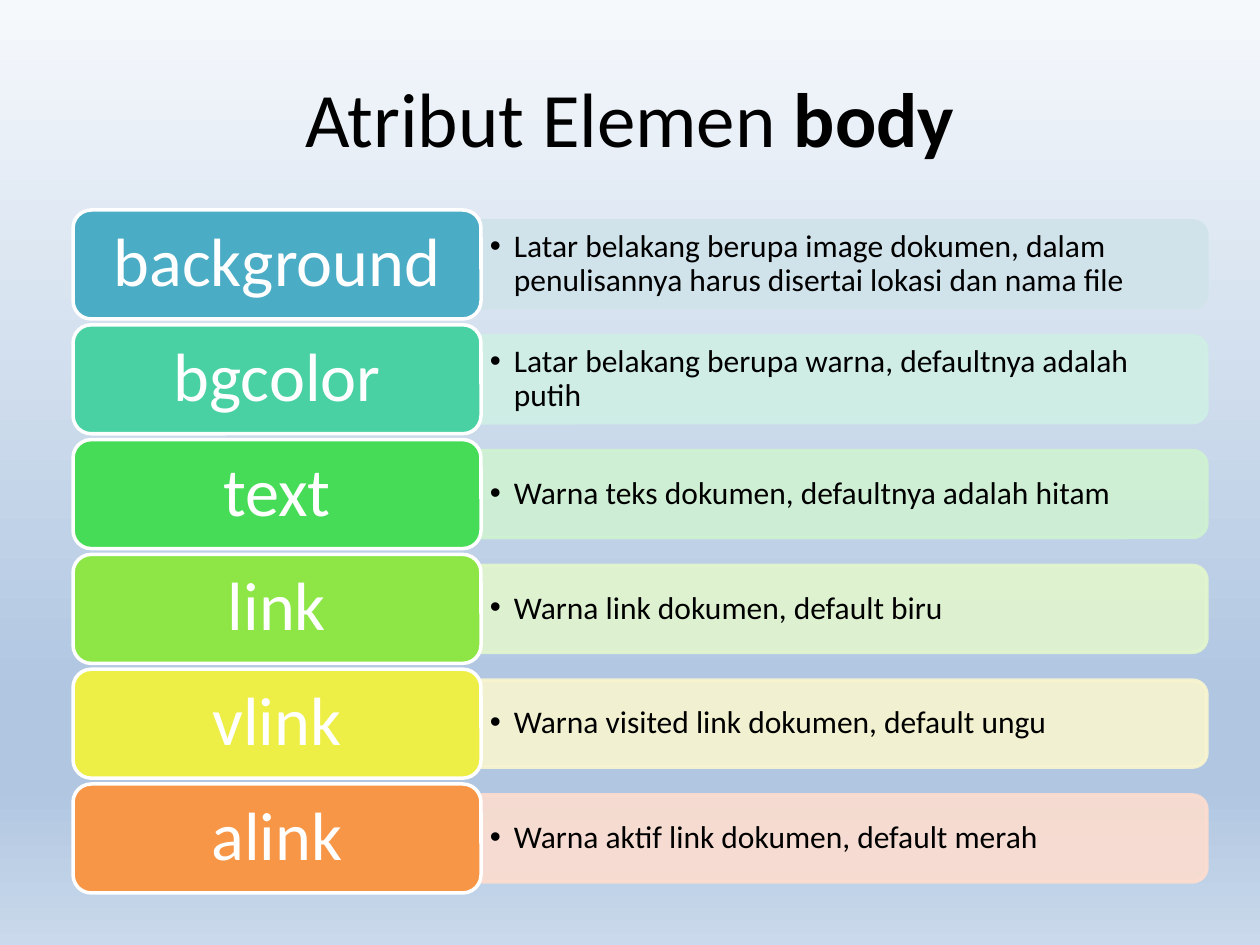
import pptx
import pptx.util
import pptx.dml.color
import pptx.enum.shapes
import pptx.enum.text
import pptx.oxml
import pptx.oxml.ns
from dataclasses import dataclass

PX = 914400 // 126
SHAPES = pptx.enum.shapes.MSO_SHAPE
ALIGN = pptx.enum.text.PP_ALIGN
MIDDLE = pptx.enum.text.MSO_ANCHOR.MIDDLE
qn = pptx.oxml.ns.qn


@dataclass(frozen=True)
class Theme:
    font: str = "Calibri"
    title_size: int = 44
    label_size: int = 39
    description_size: int = 18
    dark: str = "000000"
    light: str = "FFFFFF"
    border: int = 2
    panel_opacity: int = 90
    backdrop: tuple = ((0, "F6F9FC"), (74, "B0C6E1"), (83, "B0C6E1"), (100, "CAD9EB"))


THEME = Theme()

# attribute, description, label colour, panel colour
ATTRIBUTES = [
    ("background", "Latar belakang berupa image dokumen, dalam penulisannya "
     "harus disertai lokasi dan nama file", "4BACC6", "D0E3EA"),
    ("bgcolor", "Latar belakang berupa warna, defaultnya adalah putih", "49D1A3", "CFEFE5"),
    ("text", "Warna teks dokumen, defaultnya adalah hitam", "47DC57", "CFF2D2"),
    ("link", "Warna link dokumen, default biru", "8DE646", "E2F6CE"),
    ("vlink", "Warna visited link dokumen, default ungu", "EEEF46", "F9F5CF"),
    ("alink", "Warna aktif link dokumen, default merah", "F79646", "FCDDCF"),
]

LABEL_LEFT, LABEL_WIDTH, LABEL_HEIGHT = 73, 408, 109
PANEL_LEFT, PANEL_WIDTH, PANEL_HEIGHT = LABEL_LEFT + LABEL_WIDTH, 726, 87
FIRST_TOP, LAST_TOP = 210, 784


def px(*lengths):
    return [pptx.util.Emu(round(length * PX)) for length in lengths]


def rgb(value):
    return pptx.dml.color.RGBColor.from_string(value)


def apply(target, formats):
    for name, value in formats.items():
        setattr(target, name, value)


def paint_backdrop(slide):
    fill = slide.background.fill
    fill.gradient()
    fill.gradient_angle = 270
    stops = slide.element.find(".//" + qn("a:gsLst"))
    stops.clear()
    for percent, color in THEME.backdrop:
        stops.append(pptx.oxml.parse_xml(
            f'<a:gs {pptx.oxml.ns.nsdecls("a")} pos="{percent * 1000}">'
            f'<a:srgbClr val="{color}"/></a:gs>'))


def set_opacity(shape, percent):
    """Apply one opacity to both the fill and the outline."""
    for color in shape.element.spPr.iter(qn("a:srgbClr")):
        alpha = color.makeelement(qn("a:alpha"), {"val": str(percent * 1000)})
        color.append(alpha)


def add_box(slide, kind, box, fill, line):
    shape = slide.shapes.add_shape(kind, *px(*box))
    shape.shadow.inherit = False
    shape.fill.solid()
    shape.fill.fore_color.rgb = rgb(fill)
    shape.line.color.rgb = rgb(line)
    shape.line.width = pptx.util.Pt(THEME.border)
    return shape


def write(shape, runs, size, color, align, margins, spacing=None):
    """Fill a shape with one paragraph of (text, bold) runs."""
    side, edge = px(*margins)
    frame = shape.text_frame
    apply(frame, {"word_wrap": True, "vertical_anchor": MIDDLE,
                  "margin_left": side, "margin_right": side,
                  "margin_top": edge, "margin_bottom": edge})
    paragraph = frame.paragraphs[0]
    apply(paragraph, {"alignment": align, "line_spacing": spacing})
    for text, bold in runs:
        run = paragraph.add_run()
        run.text = text
        apply(run.font, {"name": THEME.font, "size": pptx.util.Pt(size), "bold": bold})
        run.font.color.rgb = rgb(color)
    return paragraph


def add_bullet(paragraph, indent):
    properties = paragraph._p.get_or_add_pPr()
    (hanging,) = px(indent)
    properties.set("marL", str(hanging))
    properties.set("indent", str(-hanging))
    for tag, attributes in (("a:buFont", {"typeface": "Arial"}), ("a:buChar", {"char": "•"})):
        properties.append(properties.makeelement(qn(tag), attributes))


def add_title(slide):
    title = slide.shapes.add_textbox(*px(63, 38, 1134, 157))
    write(title, [("Atribut Elemen ", False), ("body", True)], THEME.title_size,
          THEME.dark, ALIGN.CENTER, (13, 6))


def add_panel(slide, middle, description, color):
    # Turned a quarter so that the two rounded corners face right.
    center = PANEL_LEFT + PANEL_WIDTH / 2
    box = (center - PANEL_HEIGHT / 2, middle - PANEL_WIDTH / 2, PANEL_HEIGHT, PANEL_WIDTH)
    panel = add_box(slide, SHAPES.ROUND_2_SAME_RECTANGLE, box, color, color)
    panel.rotation = 90
    set_opacity(panel, THEME.panel_opacity)
    caption = slide.shapes.add_textbox(
        *px(PANEL_LEFT, middle - PANEL_HEIGHT / 2 + 4, PANEL_WIDTH - 4, PANEL_HEIGHT - 8))
    paragraph = write(caption, [(description, False)], THEME.description_size,
                      THEME.dark, ALIGN.LEFT, (9, 5), 0.9)
    add_bullet(paragraph, 24)


def add_label(slide, top, name, color):
    label = add_box(slide, SHAPES.ROUNDED_RECTANGLE,
                    (LABEL_LEFT, top, LABEL_WIDTH, LABEL_HEIGHT), color, THEME.light)
    write(label, [(name, False)], THEME.label_size, THEME.light, ALIGN.CENTER, (26, 15), 0.9)


def main():
    deck = pptx.Presentation()
    deck.slide_width, deck.slide_height = px(1260, 945)
    slide = deck.slides.add_slide(deck.slide_layouts[6])
    paint_backdrop(slide)
    add_title(slide)
    pitch = (LAST_TOP - FIRST_TOP) / (len(ATTRIBUTES) - 1)
    for row, (name, description, label_color, panel_color) in enumerate(ATTRIBUTES):
        top = FIRST_TOP + row * pitch
        add_panel(slide, top + LABEL_HEIGHT / 2, description, panel_color)
        add_label(slide, top, name, label_color)
    deck.save("out.pptx")


if __name__ == "__main__":
    main()
